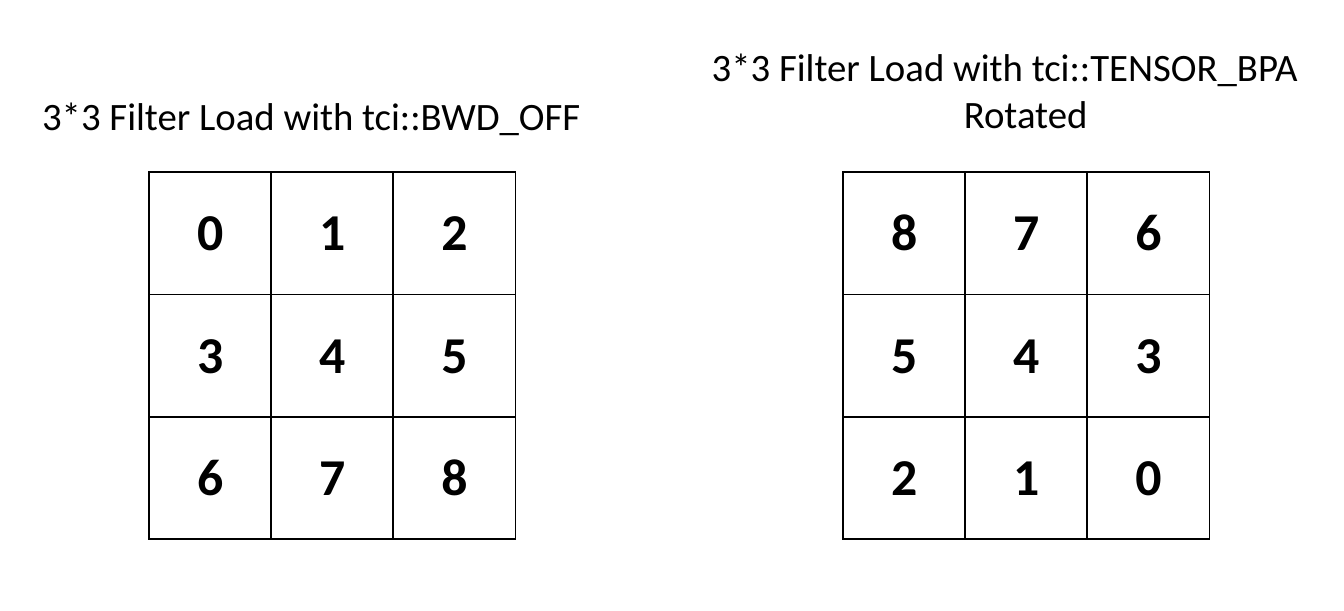
from lxml.etree import SubElement
from pptx import Presentation
from pptx.dml.color import RGBColor
from pptx.enum.text import MSO_ANCHOR as Anchor, MSO_AUTO_SIZE as AutoSize, PP_ALIGN as Align
from pptx.oxml.ns import qn
from pptx.util import Inches, Pt

WIDTH, HEIGHT = Inches(8.66), Inches(3.94)
COLUMNS, ROWS = 11, 5
FILTER_SIZE = 3
BLACK, WHITE = "000000", "FFFFFF"


def color(hex_code):
    return RGBColor.from_string(hex_code)


def across(columns):
    return round(WIDTH * columns / COLUMNS)


def down(rows):
    return round(HEIGHT * rows / ROWS)


def area(left, top, width, height):
    return across(left), down(top), across(width), down(height)


def add_text(para, text, size, align, bold=False):
    para.alignment = align
    span = para.add_run()
    span.text = text
    span.font.name = "Calibri"
    span.font.size = Pt(size)
    span.font.bold = bold
    span.font.color.rgb = color(BLACK)


def add_caption(page, place, lines):
    box = page.shapes.add_textbox(*area(*place))
    frame = box.text_frame
    frame.word_wrap = True
    frame.auto_size = AutoSize.SHAPE_TO_FIT_TEXT
    for index, (text, align) in enumerate(lines):
        para = frame.add_paragraph() if index else frame.paragraphs[0]
        add_text(para, text, 18, align)


def add_borders(cell):
    properties = cell._tc.get_or_add_tcPr()
    for position, side in enumerate(("lnL", "lnR", "lnT", "lnB")):
        line = SubElement(properties, qn(f"a:{side}"), w=str(Pt(1)))
        fill = SubElement(line, qn("a:solidFill"))
        SubElement(fill, qn("a:srgbClr"), val=BLACK)
        properties.insert(position, line)


def add_filter(page, left, top, values):
    place = area(left, top, FILTER_SIZE, FILTER_SIZE)
    table = page.shapes.add_table(FILTER_SIZE, FILTER_SIZE, *place).table
    table.first_row = False
    table.horz_banding = False
    for cell, value in zip(table.iter_cells(), values):
        cell.fill.solid()
        cell.fill.fore_color.rgb = color(WHITE)
        cell.vertical_anchor = Anchor.MIDDLE
        add_text(cell.text_frame.paragraphs[0], str(value), 24, Align.CENTER, bold=True)
        add_borders(cell)


def main():
    deck = Presentation()
    deck.slide_width, deck.slide_height = WIDTH, HEIGHT
    page = deck.slides.add_slide(deck.slide_layouts[6])
    weights = range(FILTER_SIZE ** 2)

    add_filter(page, 1.22, 1.41, weights)
    add_caption(page, (0.22, 0.69, 5, 0.51),
                [("3*3 Filter Load with tci::BWD_OFF", Align.LEFT)])

    add_filter(page, 6.9, 1.41, reversed(weights))
    add_caption(page, (5.7, 0.29, 5.39, 1.28),
                [("3*3 Filter Load with tci::TENSOR_BPA", Align.LEFT),
                 ("Rotated", Align.CENTER)])

    deck.save("out.pptx")


if __name__ == "__main__":
    main()
